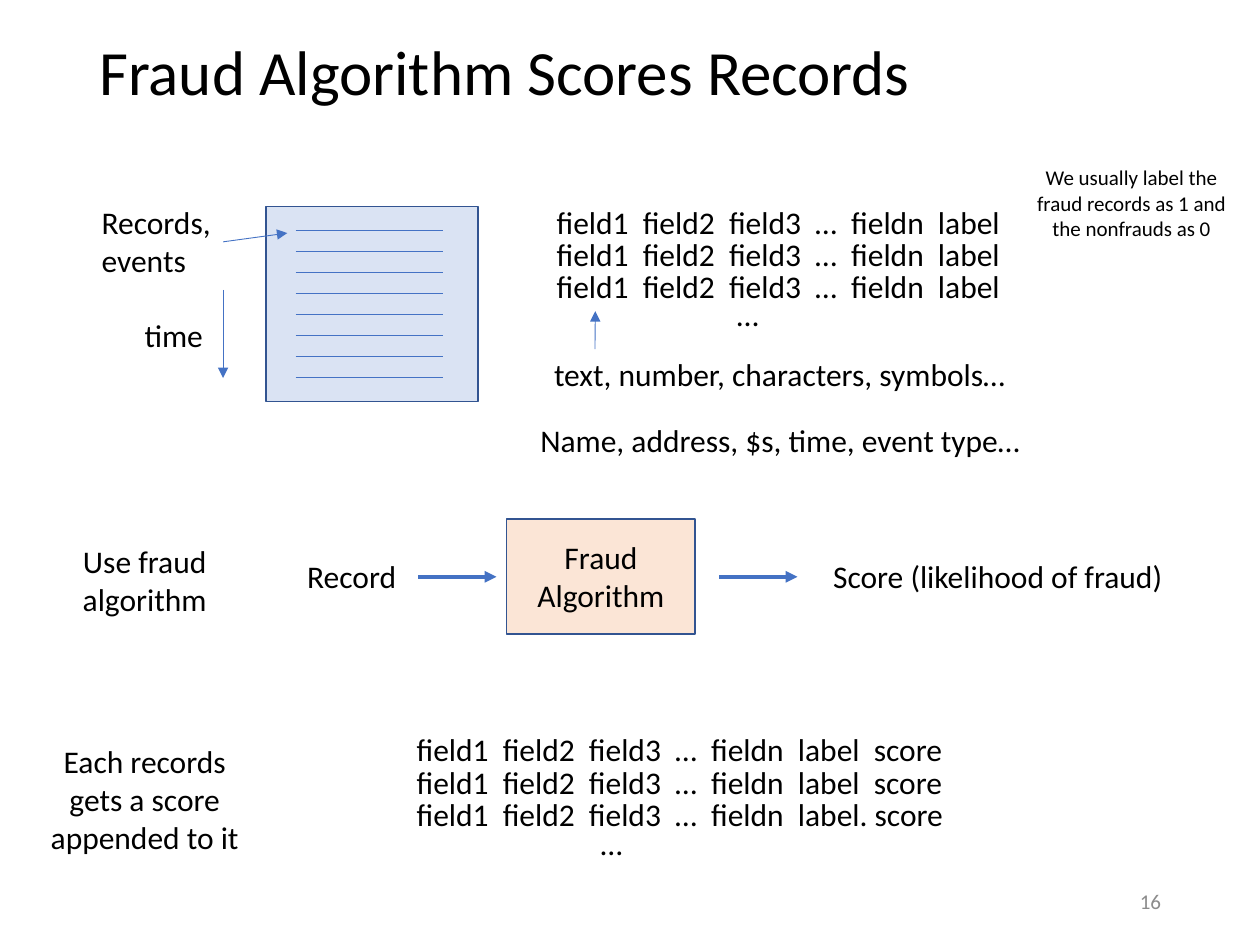
"""Build the slide that shows how a fraud algorithm scores records."""
import pptx
import pptx.dml.color
import pptx.enum.shapes
import pptx.enum.text
import pptx.oxml
import pptx.oxml.ns
import pptx.util

Pt = pptx.util.Pt
Align = pptx.enum.text.PP_ALIGN
Anchor = pptx.enum.text.MSO_ANCHOR

COLORS = {
    "text": "000000",
    "muted": "8C8C8C",
    "arrow": "4472C4",
    "outline": "325491",
    "file": "DAE3F3",
    "algorithm": "FBE5D6",
}


class SlideBuilder:
    """Hold the style and the current slide."""

    font = "Calibri"
    body_size = 18

    def __init__(self, slide):
        """Keep the slide to draw on."""
        self.slide = slide

    def color(self, name):
        """Return the named colour."""
        return pptx.dml.color.RGBColor.from_string(COLORS[name])

    def add_lines(self, frame, lines, size, color="text", align=Align.LEFT):
        """Add one paragraph per line."""
        for index, line in enumerate(lines):
            paragraph = frame.add_paragraph() if index else frame.paragraphs[0]
            paragraph.alignment = align
            run = paragraph.add_run()
            run.text = line
            run.font.name = self.font
            run.font.size = Pt(size)
            run.font.color.rgb = self.color(color)

    def title(self, wording, left, top, width, height):
        """Place and fill the title placeholder."""
        title = self.slide.shapes.title
        title.left, title.top = Pt(left), Pt(top)
        title.width, title.height = Pt(width), Pt(height)
        frame = title.text_frame
        frame.vertical_anchor = Anchor.MIDDLE
        self.add_lines(frame, [wording], 36)
        frame.paragraphs[0].line_spacing = 0.9

    def text(self, lines, left, top, width, height=29, size=body_size,
             color="text", align=Align.LEFT, wrap=False, anchor=Anchor.TOP):
        """Add a text box."""
        box = self.slide.shapes.add_textbox(Pt(left), Pt(top), Pt(width), Pt(height))
        frame = box.text_frame
        frame.word_wrap = wrap
        frame.vertical_anchor = anchor
        self.add_lines(frame, lines, size, color, align)

    def rows(self, records, left, top, width, step=18.4):
        """Stack record rows at an equal step."""
        for index, record in enumerate(records):
            self.text([record], left, top + index * step, width)

    def box(self, fill, left, top, width, height):
        """Add an outlined rectangle."""
        rectangle = self.slide.shapes.add_shape(
            pptx.enum.shapes.MSO_SHAPE.RECTANGLE,
            Pt(left), Pt(top), Pt(width), Pt(height))
        rectangle.shadow.inherit = False
        rectangle.fill.solid()
        rectangle.fill.fore_color.rgb = self.color(fill)
        rectangle.line.color.rgb = self.color("outline")
        rectangle.line.width = Pt(1)

    def line(self, start, end, width=0.5, arrow=True):
        """Add a straight line, with an arrowhead at its end if wanted."""
        connector = self.slide.shapes.add_connector(
            pptx.enum.shapes.MSO_CONNECTOR.STRAIGHT,
            Pt(start[0]), Pt(start[1]), Pt(end[0]), Pt(end[1]))
        connector.line.color.rgb = self.color("arrow")
        connector.line.width = Pt(width)
        properties = connector._element.spPr
        if arrow:
            head = pptx.oxml.parse_xml(
                f'<a:tailEnd {pptx.oxml.ns.nsdecls("a")} type="triangle"/>')
            properties.find(pptx.oxml.ns.qn("a:ln")).append(head)
        properties.append(pptx.oxml.parse_xml(
            f'<a:effectLst {pptx.oxml.ns.nsdecls("a")}/>'))


def main():
    """Build and save the slide."""
    deck = pptx.Presentation()
    deck.slide_width, deck.slide_height = Pt(720), Pt(540)
    page = SlideBuilder(deck.slides.add_slide(deck.slide_layouts[5]))

    page.title("Fraud Algorithm Scores Records", 49.5, -9.5, 621, 104.5)
    page.text(["16"], 508.5, 500.5, 162, size=12, color="muted",
              align=Align.RIGHT, wrap=True, anchor=Anchor.MIDDLE)

    page.box("file", 152, 118, 121, 111.5)
    for record in range(8):
        record_top = 131.8 + 12 * record
        page.line((169, record_top), (253.2, record_top), arrow=False)
    page.text(["Records, events"], 51, 112.4, 81.5, 51, wrap=True)
    page.text(["time"], 75.5, 177, 48.5)
    page.line((127.5, 138.2), (164.2, 133.2))
    page.line((127.5, 165.6), (127.5, 216))

    fields = "field1  field2  field3  …  fieldn  label"
    page.rows([fields] * 3, 311, 112.4, 275)
    page.text(["…"], 414, 165, 24, wrap=True)
    page.text(["text, number, characters, symbols…"], 309.5, 199.5, 278)
    page.line((340, 199.5), (340.2, 177.8))
    page.text(["Name, address, $s, time, event type…"], 301.7, 237, 293)

    scored = fields + "  score"
    page.rows([scored, scored, fields + ". score"], 231, 413.8, 319.7)
    page.text(["…"], 336.2, 467.3, 24, wrap=True)

    page.box("algorithm", 289.5, 296.5, 107.5, 66)
    page.text(["Fraud", "Algorithm"], 299.5, 304, 87.8, 51, align=Align.CENTER)
    page.text(["Record"], 168.5, 314.8, 66)
    for arrow_left in (239, 411):
        page.line((arrow_left, 329.6), (arrow_left + 44.7, 329.6), width=2.25)
    page.text(["Score (likelihood of fraud)"], 469, 314.8, 205)

    notes = [
        ("Each records gets a score appended to it", 18.7, 420.5, 128, 72.7, 18),
        ("Use fraud algorithm", 18.7, 306, 128, 51, 18),
        ("We usually label the fraud records as 1 and the nonfrauds as 0",
         585.4, 90.7, 122.4, 51, 12),
    ]
    for wording, left, top, width, height, size in notes:
        page.text([wording], left, top, width, height, size,
                  align=Align.CENTER, wrap=True)

    deck.save("out.pptx")


if __name__ == "__main__":
    main()
